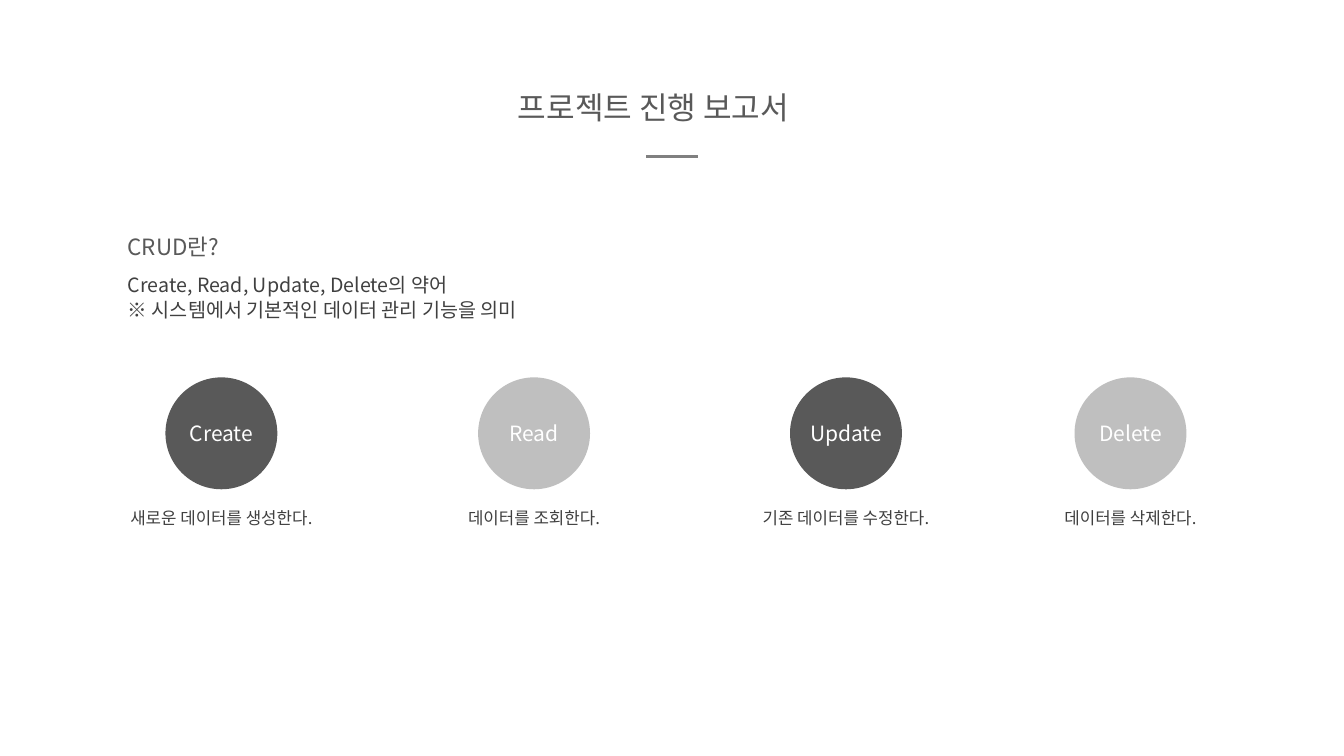
from dataclasses import dataclass

from lxml import etree
from pptx import Presentation
from pptx.dml.color import RGBColor
from pptx.enum import shapes, text
from pptx.oxml import ns
from pptx.util import Cm, Pt

TITLE = "프로젝트 진행 보고서"
HEADING = "CRUD란?"
DESCRIPTION = [
    "Create, Read, Update, Delete의 약어",
    "※ 시스템에서 기본적인 데이터 관리 기능을 의미",
]
OPERATIONS = [
    ("Create", "새로운 데이터를 생성한다.", 5.58),
    ("Read", "데이터를 조회한다.", 13.46),
    ("Update", "기존 데이터를 수정한다.", 21.32),
    ("Delete", "데이터를 삭제한다.", 28.49),
]


@dataclass(frozen=True)
class Theme:
    font: str = "Noto Sans CJK KR"
    dark: str = "595959"
    light: str = "BFBFBF"
    rule: str = "808080"
    body: str = "404040"
    white: str = "FFFFFF"
    title_size: float = 22.2
    heading_size: float = 16
    label_size: float = 15
    body_size: float = 14
    caption_size: float = 12


THEME = Theme()
ALIGN = text.PP_ALIGN


def place(shape, left, top, width, height):
    shape.left, shape.top = Cm(left), Cm(top)
    shape.width, shape.height = Cm(width), Cm(height)


def write(shape, lines, size, color, align=ALIGN.LEFT, spacing=1.0):
    frame = shape.text_frame
    frame.word_wrap = True
    frame.auto_size = text.MSO_AUTO_SIZE.NONE
    frame.vertical_anchor = text.MSO_ANCHOR.TOP
    for index, line in enumerate(lines):
        paragraph = frame.add_paragraph() if index else frame.paragraphs[0]
        properties = paragraph._p.get_or_add_pPr()
        properties.set("marL", "0")
        properties.set("indent", "0")
        etree.SubElement(properties, ns.qn("a:buNone"))
        paragraph.alignment = align
        paragraph.line_spacing = spacing
        paragraph.space_before = Pt(0)
        run = paragraph.add_run()
        run.text = line
        run.font.size = Pt(size)
        run.font.color.rgb = RGBColor.from_string(color)
        run.font.name = THEME.font
        east_asian = etree.SubElement(run._r.get_or_add_rPr(), ns.qn("a:ea"))
        east_asian.set("typeface", THEME.font)


def add_text(slide, box, line, size, color, align=ALIGN.LEFT, spacing=1.0):
    shape = slide.shapes.add_textbox(*map(Cm, box))
    write(shape, [line], size, color, align, spacing)


def add_title_rule(slide):
    rule = slide.shapes.add_connector(
        shapes.MSO_CONNECTOR.STRAIGHT, Cm(16.28), Cm(3.94), Cm(17.6), Cm(3.94)
    )
    rule.line.color.rgb = RGBColor.from_string(THEME.rule)
    rule.line.width = Pt(1.75)
    etree.SubElement(rule._element.spPr, ns.qn("a:effectLst"))


def add_operation(slide, name, caption, center, fill):
    diameter, label_width, caption_width = 2.82, 3.33, 5.59
    circle = slide.shapes.add_shape(
        shapes.MSO_SHAPE.OVAL,
        Cm(center - diameter / 2), Cm(9.51), Cm(diameter), Cm(diameter),
    )
    circle.shadow.inherit = False
    circle.fill.solid()
    circle.fill.fore_color.rgb = RGBColor.from_string(fill)
    circle.line.fill.background()
    add_text(slide, (center - label_width / 2, 10.46, label_width, 0.94),
             name, THEME.label_size, THEME.white, ALIGN.CENTER)
    add_text(slide, (center - caption_width / 2, 12.57, caption_width, 2.67),
             caption, THEME.caption_size, THEME.body, ALIGN.CENTER, 1.2)


def main():
    """Build the CRUD overview slide and save it."""
    presentation = Presentation()
    presentation.slide_width, presentation.slide_height = Cm(33.87), Cm(19.05)
    slide = presentation.slides.add_slide(presentation.slide_layouts[1])

    title, description = slide.shapes.title, slide.placeholders[1]
    place(title, 12.8, 2.11, 8.28, 1.27)
    write(title, [TITLE], THEME.title_size, THEME.dark, ALIGN.JUSTIFY)
    add_title_rule(slide)

    add_text(slide, (2.97, 5.74, 10.49, 0.94), HEADING, THEME.heading_size, THEME.dark)
    place(description, 2.97, 6.68, 18.67, 1.65)
    write(description, DESCRIPTION, THEME.body_size, THEME.body, spacing=1.1)

    for index, (name, caption, center) in enumerate(OPERATIONS):
        fill = THEME.light if index % 2 else THEME.dark
        add_operation(slide, name, caption, center, fill)

    presentation.save("out.pptx")


if __name__ == "__main__":
    main()
